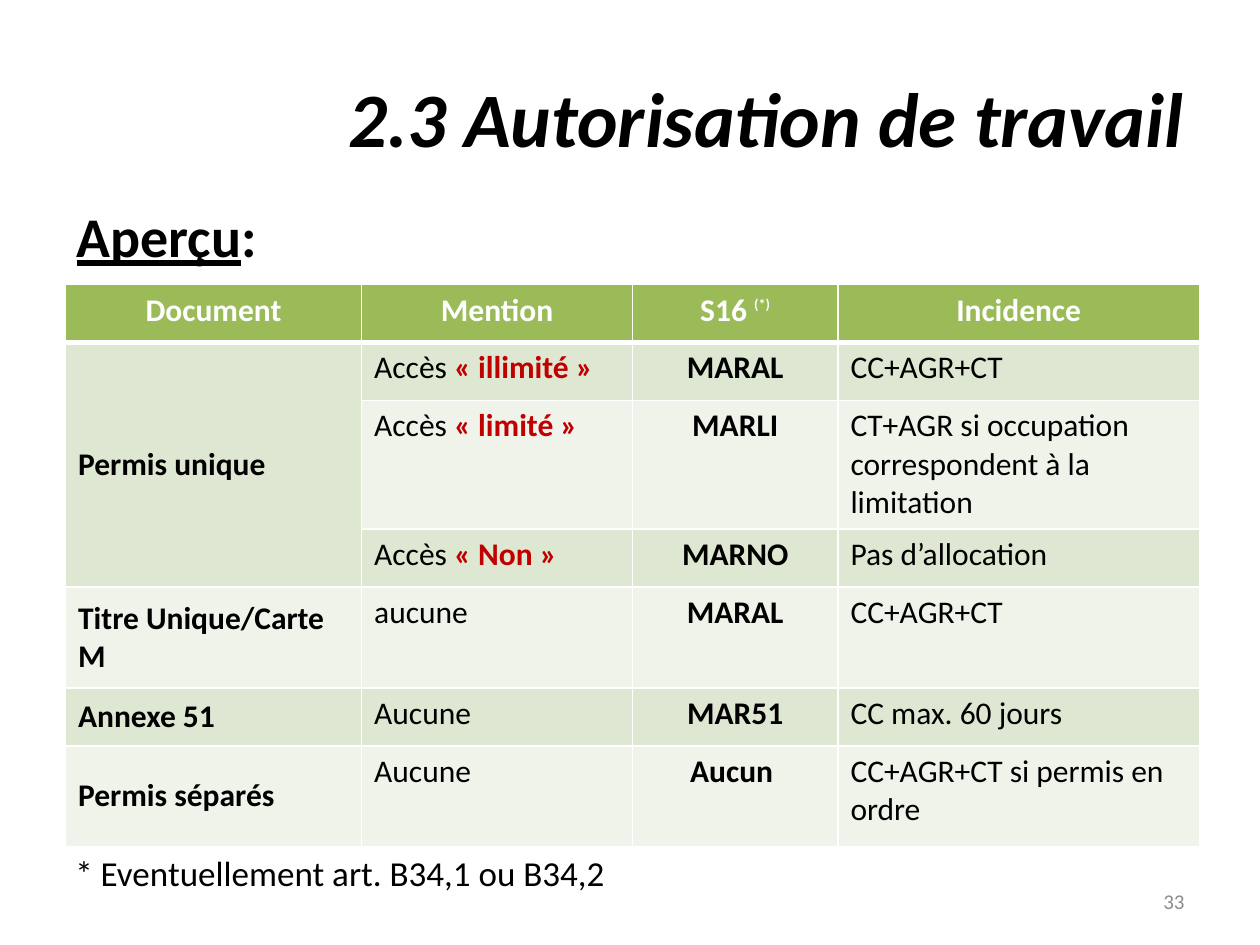
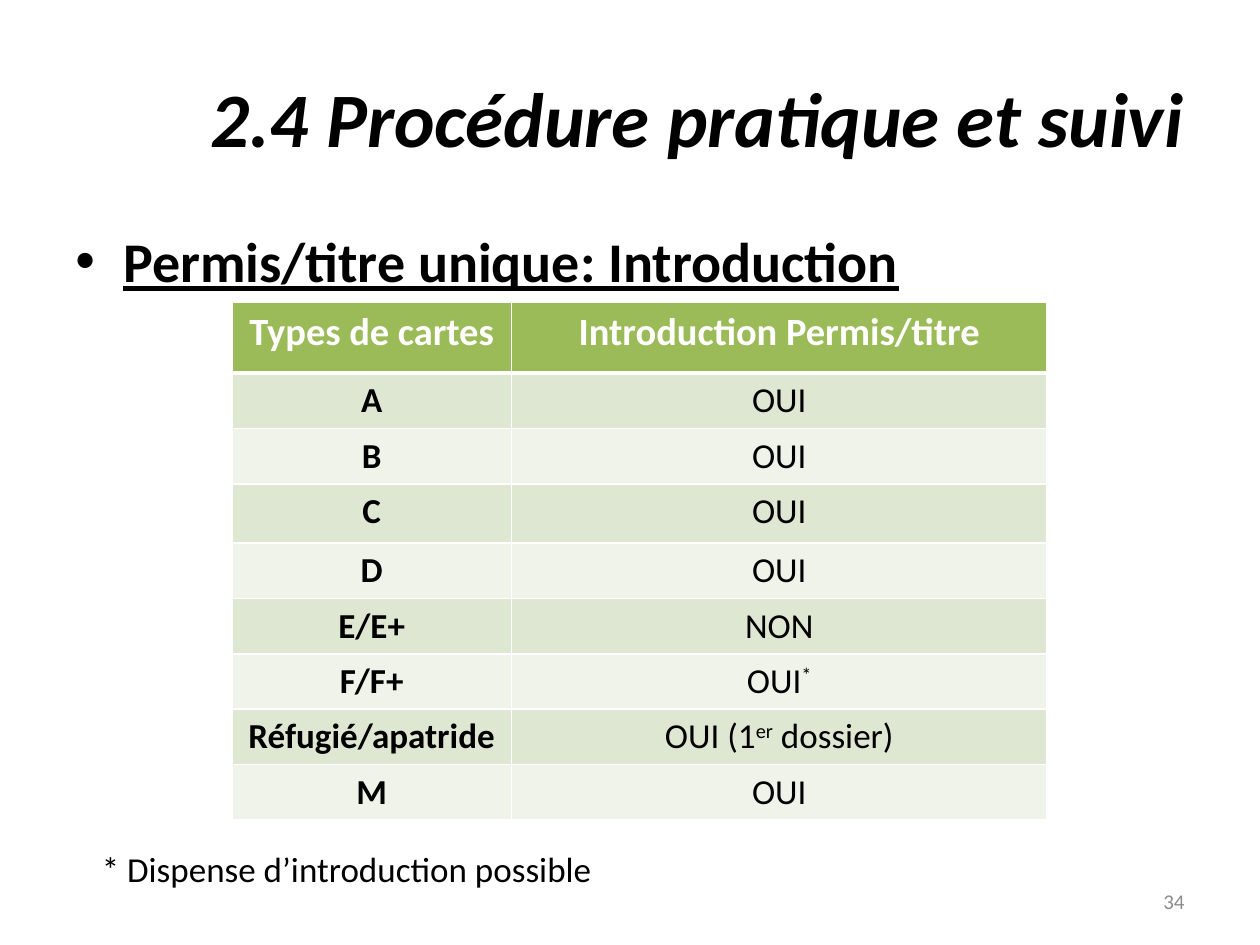
import pptx
import pptx.dml.color
import pptx.enum.text
import pptx.oxml
import pptx.oxml.ns
import pptx.util

Inches = pptx.util.Inches
LEFT, CENTER, RIGHT = (pptx.enum.text.PP_ALIGN.LEFT, pptx.enum.text.PP_ALIGN.CENTER,
                       pptx.enum.text.PP_ALIGN.RIGHT)
TOP, MIDDLE = pptx.enum.text.MSO_ANCHOR.TOP, pptx.enum.text.MSO_ANCHOR.MIDDLE
FONT = "Calibri"
BLACK, WHITE, GREY, RED = "000000", "FFFFFF", "8C8C8C", "C00000"
HEADER_FILL = "9BBB59"
BAND_FILLS = ["EFF3EA", "DEE7D1"]


def color(hex_value):
    return pptx.dml.color.RGBColor.from_string(hex_value)


def write(para, spans, align=LEFT, **style):
    para.alignment = align
    for text, changes in [(spans, {})] if isinstance(spans, str) else spans:
        look = {**style, **changes}
        span = para.add_run()
        span.text = text
        span.font.name = FONT
        span.font.size = pptx.util.Pt(look["size"])
        span.font.bold = look.get("bold", False)
        span.font.italic = look.get("italic", False)
        span.font.underline = look.get("underline", False)
        span.font.color.rgb = color(look.get("color", BLACK))
        if "raised" in look:
            span.font._element.set("baseline", str(look["raised"] * 1000))


accent = {"color": RED, "bold": True}
superscript = {"raised": 30}

slides = [
    {
        "title": "2.3 Autorisation de travail",
        "number": "33",
        "heading": [("Aperçu", {"underline": True}), (":", {})],
        "heading_at": (0.51, 1.55),
        "bullet": False,
        "note": "* Eventuellement art. B34,1 ou B34,2",
        "note_at": (0.5, 6.71),
        "table_at": (0.52, 2.26),
        "header_size": 18,
        "body_size": 18,
        "columns": [(2.35, LEFT, True, MIDDLE), (2.15, LEFT, False, TOP),
                    (1.63, CENTER, True, TOP), (2.87, LEFT, False, TOP)],
        "heights": [0.46, 0.46, 1.02, 0.46, 0.8, 0.46, 0.8],
        "merged": [((1, 0), (3, 0))],
        "rows": [
            ["Document", "Mention", [("S16 ", {}), ("(*)", {"size": 14, "raised": 46})], "Incidence"],
            ["Permis unique", [("Accès ", {}), ("« illimité »", accent)], "MARAL", "CC+AGR+CT"],
            ["", [("Accès ", {}), ("« limité »", accent)], "MARLI",
             "CT+AGR si occupation correspondent à la limitation"],
            ["", [("Accès ", {}), ("« Non »", accent)], "MARNO", "Pas d’allocation"],
            ["Titre Unique/Carte M", "aucune", "MARAL", "CC+AGR+CT"],
            ["Annexe 51", "Aucune", "MAR51", "CC max. 60 jours"],
            ["Permis séparés", "Aucune", "Aucun ", "CC+AGR+CT si permis en ordre"],
        ],
    },
    {
        "title": "2.4 Procédure pratique et suivi",
        "number": "34",
        "heading": [("Permis/titre unique: Introduction", {"underline": True})],
        "heading_at": (0.5, 1.75),
        "bullet": True,
        "note": "* Dispense d’introduction possible",
        "note_at": (0.71, 6.68),
        "table_at": (1.84, 2.4),
        "header_size": 22,
        "body_size": 20,
        "columns": [(2.22, CENTER, True, TOP), (4.25, CENTER, False, TOP)],
        "heights": [0.56, 0.44, 0.44, 0.47] + [0.44] * 5,
        "merged": [],
        "rows": [
            ["Types de cartes", "Introduction Permis/titre"],
            ["A", "OUI"],
            ["B", "OUI"],
            ["C", "OUI"],
            ["D", "OUI"],
            ["E/E+", "NON"],
            ["F/F+", [("OUI", {}), ("*", superscript)]],
            ["Réfugié/apatride", [("OUI (1", {}), ("er", superscript), (" dossier)", {})]],
            ["M", "OUI"],
        ],
    },
]

deck = pptx.Presentation()
deck.slide_width = Inches(10)
deck.slide_height = Inches(7.5)

for content in slides:
    page = deck.slides.add_slide(deck.slide_layouts[6])

    texts = [
        (content["title"], (0.5, 0.3, 9, 1.25), MIDDLE, RIGHT,
         {"size": 44, "bold": True, "italic": True}),
        (content["heading"], (*content["heading_at"], 9, 4.95), TOP, LEFT,
         {"size": 32, "bold": True}),
        (content["number"], (7.17, 6.95, 2.33, 0.4), MIDDLE, RIGHT,
         {"size": 12, "color": GREY}),
        (content["note"], (*content["note_at"], 6.46, 0.44), TOP, LEFT, {"size": 20}),
    ]
    for spans, place, anchor, align, style in texts:
        box = page.shapes.add_textbox(*map(Inches, place))
        box.text_frame.word_wrap = True
        box.text_frame.vertical_anchor = anchor
        para = box.text_frame.paragraphs[0]
        if spans is content["heading"] and content["bullet"]:
            properties = para._p.get_or_add_pPr()
            properties.set("marL", str(Inches(0.38)))
            properties.set("indent", str(Inches(-0.38)))
            namespace = pptx.oxml.ns.nsdecls("a")
            properties.append(pptx.oxml.parse_xml(f'<a:buFont {namespace} typeface="Arial"/>'))
            properties.append(pptx.oxml.parse_xml(f'<a:buChar {namespace} char="•"/>'))
        write(para, spans, align, **style)

    columns, heights, rows = content["columns"], content["heights"], content["rows"]
    widths = [column[0] for column in columns]
    frame = page.shapes.add_table(
        len(rows), len(columns),
        *map(Inches, (*content["table_at"], sum(widths), sum(heights))))
    table = frame.table
    table.horz_banding = False
    for index, width in enumerate(widths):
        table.columns[index].width = Inches(width)
    for index, height in enumerate(heights):
        table.rows[index].height = Inches(height)

    for row, entries in enumerate(rows):
        for column, spans in enumerate(entries):
            cell = table.cell(row, column)
            _, align, bold, anchor = columns[column]
            properties = cell._tc.get_or_add_tcPr()
            for side in "LRTB":
                thick = (row, side) in [(0, "B"), (1, "T")]
                properties.append(pptx.oxml.parse_xml(
                    f'<a:ln{side} {pptx.oxml.ns.nsdecls("a")} w="{pptx.util.Pt(3 if thick else 1)}">'
                    f'<a:solidFill><a:srgbClr val="{WHITE}"/></a:solidFill></a:ln{side}>'))
            cell.fill.solid()
            cell.fill.fore_color.rgb = color(BAND_FILLS[row % 2] if row else HEADER_FILL)
            cell.vertical_anchor = anchor if row else TOP
            para = cell.text_frame.paragraphs[0]
            if row == 0:
                write(para, spans, CENTER, size=content["header_size"], bold=True, color=WHITE)
            elif spans:
                write(para, spans, align, size=content["body_size"], bold=bold)

    for first, last in content["merged"]:
        table.cell(*first).merge(table.cell(*last))

deck.save("out.pptx")
